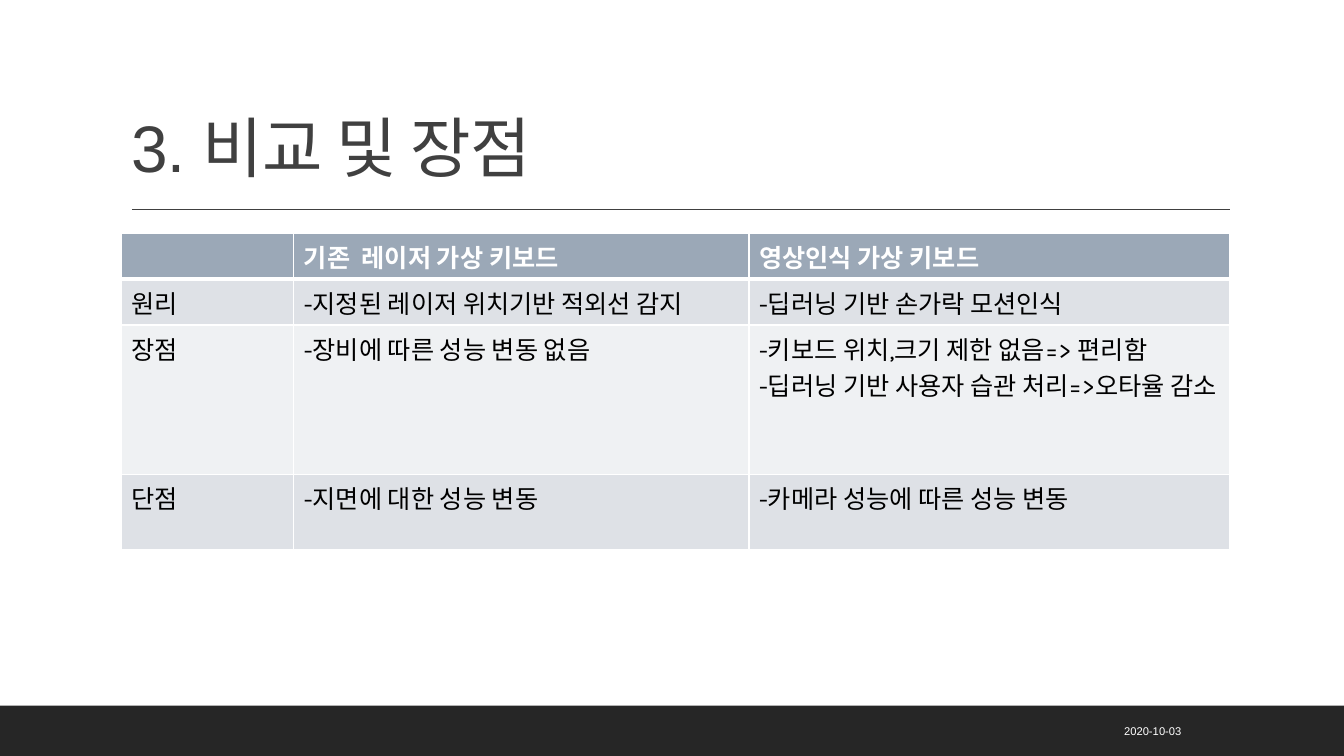
from dataclasses import dataclass
from lxml.etree import SubElement as Sub
from pptx import Presentation
from pptx.dml.color import RGBColor as RGB
from pptx.enum.shapes import MSO_CONNECTOR as Conn, MSO_SHAPE as Shape
from pptx.enum.text import MSO_ANCHOR as Anchor, PP_ALIGN as Align
from pptx.oxml.ns import qn
from pptx.util import Pt


@dataclass(frozen=True)
class Theme:
    white: str = "FFFFFF"
    black: str = "000000"
    dark: str = "262626"
    gray: str = "404040"
    head: str = "9BA8B7"
    bands: tuple = ("DEE1E6", "EFF1F3")
    sans: str = "Arial"
    body: str = "Karla"
    big: int = 47
    mid: int = 18
    small: int = 8


T = Theme()
WIDE, HIGH = 960, 540

COLS = (123.3, 325.2, 343.5)
ROWS = (32.9, 32.9, 106.5, 54.2)
# Each cell is a tuple of paragraphs
CELLS = (
    ((), ("기존  레이저 가상 키보드",), ("영상인식 가상 키보드",)),
    (("원리",), ("-지정된 레이저 위치기반 적외선 감지",),
     ("-딥러닝 기반 손가락 모션인식",)),
    (("장점",), ("-장비에 따른 성능 변동 없음",),
     ("-키보드 위치,크기 제한 없음=> 편리함",
      "-딥러닝 기반 사용자 습관 처리=>오타율 감소")),
    (("단점",), ("-지면에 대한 성능 변동",), ("-카메라 성능에 따른 성능 변동",)),
)


def paint(fill, color):
    fill.solid()
    fill.fore_color.rgb = RGB.from_string(color)


def write(para, text, face, size, color, bold=False):
    run = para.add_run()
    run.text = text
    font = run.font
    font.name, font.size, font.bold = face, Pt(size), bold
    font.color.rgb = RGB.from_string(color)
    return run


def label(slide, box, anchor):
    frame = slide.shapes.add_textbox(*map(Pt, box)).text_frame
    frame.word_wrap = True
    frame.vertical_anchor = anchor
    return frame.paragraphs[0]


def edge(cell, low):
    # Borders come before the fill in the cell properties
    props = cell._tc.get_or_add_tcPr()
    for side, width in (("L", 1), ("R", 1), ("T", 1), ("B", low)):
        line = Sub(props, qn(f"a:ln{side}"), w=str(Pt(width)))
        Sub(Sub(line, qn("a:solidFill")), qn("a:srgbClr"), val=T.white)


def title(slide, box, text):
    left, top, width, height = box
    # Heading
    para = label(slide, box, Anchor.BOTTOM)
    para.line_spacing = 0.9
    run = write(para, text, T.sans, T.big, T.gray)
    run.font._element.set("spc", "-50")
    # Rule below it
    y = Pt(top + height + 12.7)
    rule = slide.shapes.add_connector(
        Conn.STRAIGHT, Pt(left + 7.7), y, Pt(left + width), y)
    rule.line.width = Pt(1)
    rule.line.color.rgb = RGB.from_string(T.gray)
    Sub(rule._element.spPr, qn("a:effectLst"))


def table(slide, box):
    grid = slide.shapes.add_table(
        len(ROWS), len(COLS), *map(Pt, box)).table
    for col, width in zip(grid.columns, COLS):
        col.width = Pt(width)
    for r, (row, height) in enumerate(zip(grid.rows, ROWS)):
        row.height = Pt(height)
        top = r == 0
        for cell, lines in zip(row.cells, CELLS[r]):
            edge(cell, 3 if top else 1)
            paint(cell.fill, T.head if top else T.bands[(r - 1) % 2])
            frame = cell.text_frame
            for i, text in enumerate(lines):
                para = frame.add_paragraph() if i else frame.paragraphs[0]
                write(para, text, T.body, T.mid,
                      T.white if top else T.black, top)


def footer(slide, box, date):
    left, top, width, height = box
    # Dark band
    band = slide.shapes.add_shape(Shape.RECTANGLE, *map(Pt, box))
    band.shadow.inherit = False
    paint(band.fill, T.dark)
    band.line.fill.background()
    # Date
    para = label(slide, (left + 647.3, top + 3.6, 203.8, 28.8),
                 Anchor.MIDDLE)
    para.alignment = Align.RIGHT
    write(para, date, T.sans, T.small, T.white)


def main():
    deck = Presentation()
    deck.slide_width, deck.slide_height = Pt(WIDE), Pt(HIGH)
    slide = deck.slides.add_slide(deck.slide_layouts[6])
    footer(slide, (0, HIGH - 36, WIDE, 36), "2020-10-03")
    title(slide, (86.6, 22.6, 792, 114.4), "3. 비교 및 장점")
    table(slide, (86.6, 166.4, sum(COLS), sum(ROWS)))
    deck.save("out.pptx")


if __name__ == "__main__":
    main()
